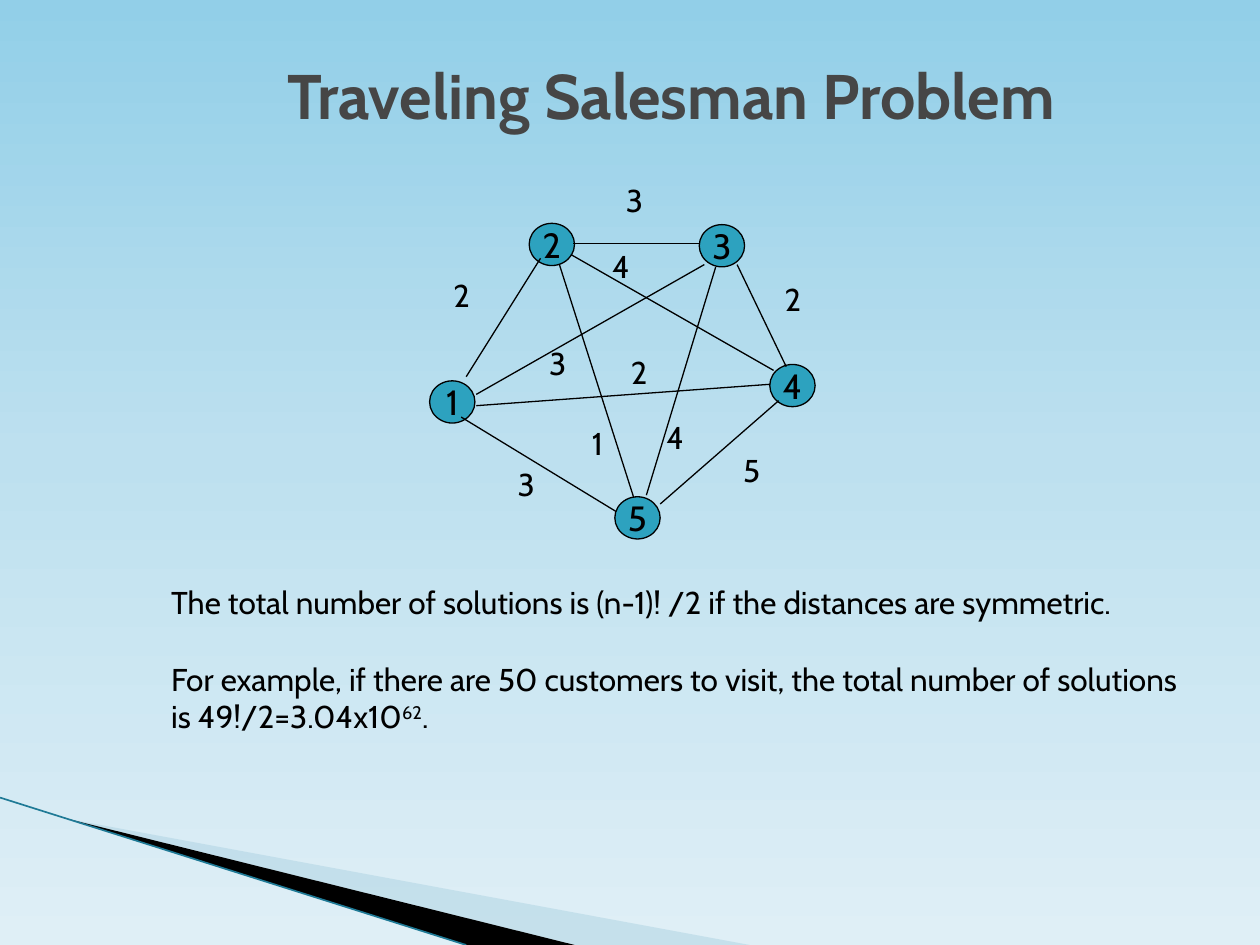
from copy import deepcopy
from pptx import Presentation
from pptx.dml.color import RGBColor
from pptx.enum.shapes import MSO_CONNECTOR, MSO_SHAPE
from pptx.enum.text import MSO_ANCHOR, MSO_AUTO_SIZE, PP_ALIGN
from pptx.oxml.ns import qn
from pptx.util import Inches, Pt
from lxml.etree import SubElement

# Grid of 100 columns by 75 rows, square cells
COLS, ROWS = 100, 75
CELL = 0.1
FONT = "Cabin"
COLORS = {
    "sky": "92CFE8", "mid": "BDE0EF", "pale": "DFEFF6",
    "haze": "A0CBDC", "rim": "1F7A96", "node": "2DA2BF",
    "ink": "000000", "title": "464646",
}

# Node centres and edges, in cells from the corner of the graph
NODES = {
    "2": (9.8, 5.4), "3": (23.3, 5.5), "1": (1.9, 17.9),
    "4": (28.9, 16.6), "5": (16.6, 27.1),
}
NODE_W, NODE_H = 3.6, 3.35
# Start, end, distance, corner of the distance label
EDGES = [
    ((3, 15.9), (8.9, 6.5), "2", (1, 7.4)),
    ((11.5, 5.3), (21.5, 5.3), "3", (14.7, -0.1)),
    ((2.6, 19.1), (14.9, 26.6), "3", (6.1, 22.4)),
    ((24.5, 7), (28.4, 15.1), "2", (27.3, 7.7)),
    ((27.8, 17.8), (18.4, 26), "5", (24, 21.3)),
    ((10.4, 7), (16.3, 25.5), "1", (12, 19.2)),
    ((3.8, 17.3), (21.9, 7), "3", (8.6, 12.8)),
    ((3.8, 18.2), (27.1, 16.5), "2", (15.1, 13.5)),
    ((22.8, 7.2), (17.3, 25.3), "4", (17.9, 18.7)),
    ((11.3, 6.2), (27.4, 15.4), "4", (13.6, 5.1)),
]


def cells(*vals):
    return [Inches(v * CELL) for v in vals]


def tone(name):
    return RGBColor.from_string(COLORS[name])


def add_run(para, text, size, color="ink", bold=False):
    run = para.add_run()
    run.text = text
    run.font.name = FONT
    run.font.size = Pt(size)
    run.font.bold = bold
    run.font.color.rgb = tone(color)
    return run


def add_line(shapes, start, end, color, width):
    line = shapes.add_connector(MSO_CONNECTOR.STRAIGHT, *cells(*start, *end))
    line.line.color.rgb = tone(color)
    line.line.width = Pt(width)
    SubElement(line._element.spPr, qn("a:effectLst"))


def add_wedge(shapes, points, color, alpha=100):
    spots = [tuple(cells(*p)) for p in points]
    form = shapes.build_freeform(*spots[0])
    form.add_line_segments(spots[1:], close=True)
    wedge = form.convert_to_shape()
    wedge.shadow.inherit = False
    wedge.line.fill.background()
    wedge.fill.solid()
    wedge.fill.fore_color.rgb = tone(color)
    if alpha < 100:
        hue = wedge._element.spPr.find(".//" + qn("a:srgbClr"))
        SubElement(hue, qn("a:alpha")).set("val", str(alpha * 1000))


def paint_back(slide):
    fill = slide.background.fill
    fill.gradient()
    fill.gradient_angle = 270
    stops = slide._element.find(".//" + qn("a:gsLst"))
    stops.insert(1, deepcopy(stops[0]))
    for stop, name, pos in zip(fill.gradient_stops,
                               ("sky", "mid", "pale"), (0, 0.48, 1)):
        stop.color.rgb = tone(name)
        stop.position = pos


def draw_corner(shapes, left, top, width, height):
    base = top + height
    tip = (left + 5.4, top + 1.7)
    add_wedge(shapes, [tip, (left + width, base), (left + 45.6, base)],
              "haze", 40)
    add_wedge(shapes, [tip, (left + 45.6, base), (left + 37, base)], "ink")
    add_line(shapes, (left, top), (left + 37, base), "rim", 0.95)


def set_title(slide, *box):
    title = slide.shapes.title
    title.left, title.top, title.width, title.height = cells(*box)
    frame = title.text_frame
    frame.vertical_anchor = MSO_ANCHOR.MIDDLE
    para = frame.paragraphs[0]
    para.alignment = PP_ALIGN.CENTER
    add_run(para, "Traveling Salesman Problem", 36, "title", True)


def draw_graph(slide, left, top):
    shapes = slide.shapes.add_group_shape().shapes

    def shift(spot):
        return left + spot[0], top + spot[1]

    # Nodes
    for name, spot in NODES.items():
        x, y = shift(spot)
        node = shapes.add_shape(MSO_SHAPE.OVAL, *cells(
            x - NODE_W / 2, y - NODE_H / 2, NODE_W, NODE_H))
        node.shadow.inherit = False
        node.fill.solid()
        node.fill.fore_color.rgb = tone("node")
        node.line.color.rgb = tone("ink")
        node.line.width = Pt(0.75)
        frame = node.text_frame
        frame.word_wrap = False
        frame.vertical_anchor = MSO_ANCHOR.MIDDLE
        para = frame.paragraphs[0]
        para.alignment = PP_ALIGN.CENTER
        add_run(para, name, 20)
    # Edges, then their distances on top
    for start, end, _, _ in EDGES:
        add_line(shapes, shift(start), shift(end), "ink", 0.75)
    for _, _, cost, spot in EDGES:
        label = shapes.add_textbox(*cells(*shift(spot), 3.3, 4))
        frame = label.text_frame
        frame.word_wrap = False
        frame.auto_size = MSO_AUTO_SIZE.SHAPE_TO_FIT_TEXT
        add_run(frame.paragraphs[0], cost, 18)


def add_notes(slide, *box):
    frame = slide.shapes.add_textbox(*cells(*box)).text_frame
    frame.word_wrap = True
    add_run(frame.paragraphs[0], "The total number of solutions is (n-1)! /2 "
            "if the distances are symmetric.", 18)
    para = frame.add_paragraph()
    para.space_before = Pt(22)
    add_run(para, "For example, if there are 50 customers to visit, the total "
            "number of solutions is 49!/2=3.04x10", 18)
    power = add_run(para, "62", 18)
    power._r.get_or_add_rPr().set("baseline", "30000")
    add_run(para, ".", 18)


def main():
    deck = Presentation()
    deck.slide_width, deck.slide_height = cells(COLS, ROWS)
    slide = deck.slides.add_slide(deck.slide_layouts[5])
    paint_back(slide)
    draw_corner(slide.shapes, 0, 63.3, 59.5, ROWS - 63.3)
    set_title(slide, 10.8, 3.3, 85, 8.3)
    draw_graph(slide, 34, 14)
    add_notes(slide, 12.6, 45.8, 82.8, 21)
    deck.save("out.pptx")


if __name__ == "__main__":
    main()
